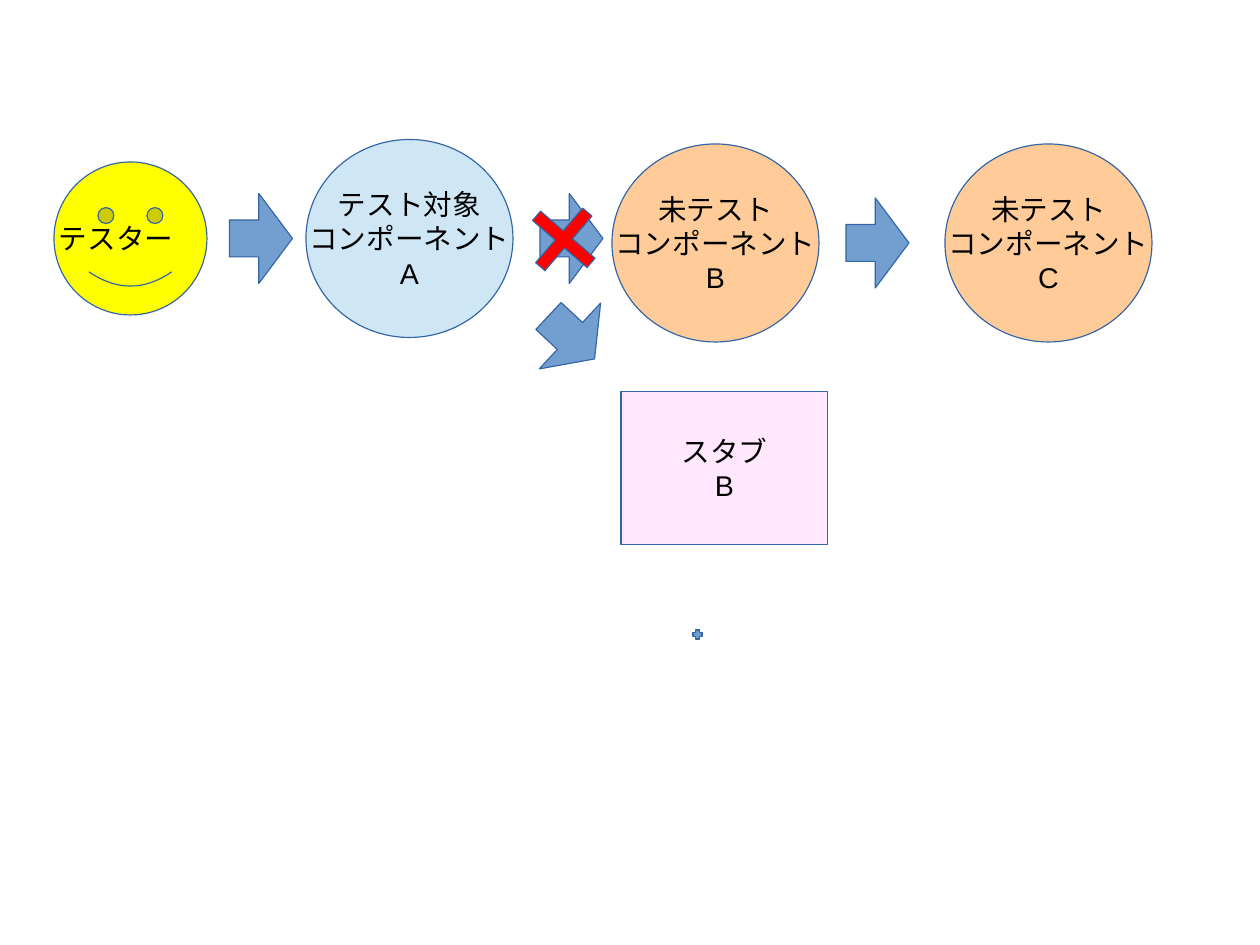
from dataclasses import dataclass

from pptx import Presentation
from pptx.dml.color import RGBColor
from pptx.enum.shapes import MSO_SHAPE as Kind
from pptx.enum.text import MSO_ANCHOR as Anchor, PP_ALIGN as Align
from pptx.util import Cm, Pt

# Grid of one-centimetre cells; places and sizes are (column, row) counts.
COLUMNS, ROWS = 28, 21


@dataclass(frozen=True)
class Theme:
    font: str = "Arial"
    size: int = 18
    text: str = "000000"
    line: str = "3465A4"
    arrow: str = "729FCF"
    cross: str = "FF0000"
    tester: str = "FFFF00"
    tested: str = "CFE7F5"
    untested: str = "FFCC99"
    stub: str = "FFE7FD"


THEME = Theme()

CIRCLE, ARROW = (4.6, 4.4), (1.4, 2)
ARROW_SHAPE = (0.41, 0.534)

# text, kind, place, size, fill, alignment
COMPONENTS = [
    ("未テスト\nコンポーネント\nB", Kind.OVAL, (13.6, 3.2), CIRCLE, THEME.untested, Align.CENTER),
    ("未テスト\nコンポーネント\nC", Kind.OVAL, (21, 3.2), CIRCLE, THEME.untested, Align.CENTER),
    ("テスト対象\nコンポーネント\nA", Kind.OVAL, (6.8, 3.1), CIRCLE, THEME.tested, Align.CENTER),
    ("テスター", Kind.SMILEY_FACE, (1.2, 3.6), (3.4, 3.4), THEME.tester, Align.RIGHT),
    ("スタブ\nB", Kind.RECTANGLE, (13.8, 8.7), (4.6, 3.4), THEME.stub, Align.CENTER),
]

# place, rotation
ARROWS = [((12, 4.3), 0), ((18.8, 4.4), 0), ((5.1, 4.3), 0), ((12, 6.5), 43)]

# place, side, fill, rotation, notch
CROSSES = [
    ((11.73, 4.52), 1.6, THEME.cross, 40.8, 0.415),
    ((15.4, 14), 0.2, THEME.arrow, 0, 0.25),
]


def add_figure(page, kind, place, size, fill, rotation=0, adjustments=()):
    figure = page.shapes.add_shape(kind, *map(Cm, place + size))
    figure.shadow.inherit = False
    figure.fill.solid()
    figure.fill.fore_color.rgb = RGBColor.from_string(fill)
    figure.line.color.rgb = RGBColor.from_string(THEME.line)
    figure.line.width = Pt(0)
    figure.rotation = rotation
    for index, value in enumerate(adjustments):
        figure.adjustments[index] = value
    return figure


def write_label(figure, text, alignment):
    frame = figure.text_frame
    frame.word_wrap = False
    frame.vertical_anchor = Anchor.MIDDLE
    para = frame.paragraphs[0]
    para.text = text
    para.alignment = alignment
    for span in para.runs:
        span.font.name = THEME.font
        span.font.size = Pt(THEME.size)
        span.font.color.rgb = RGBColor.from_string(THEME.text)


def main():
    deck = Presentation()
    deck.slide_width, deck.slide_height = Cm(COLUMNS), Cm(ROWS)
    page = deck.slides.add_slide(deck.slide_layouts[6])

    for text, kind, place, size, fill, alignment in COMPONENTS:
        write_label(add_figure(page, kind, place, size, fill), text, alignment)
    for place, rotation in ARROWS:
        add_figure(page, Kind.RIGHT_ARROW, place, ARROW, THEME.arrow, rotation, ARROW_SHAPE)
    for place, side, fill, rotation, notch in CROSSES:
        add_figure(page, Kind.CROSS, place, (side, side), fill, rotation, (notch,))

    deck.save("out.pptx")


if __name__ == "__main__":
    main()
